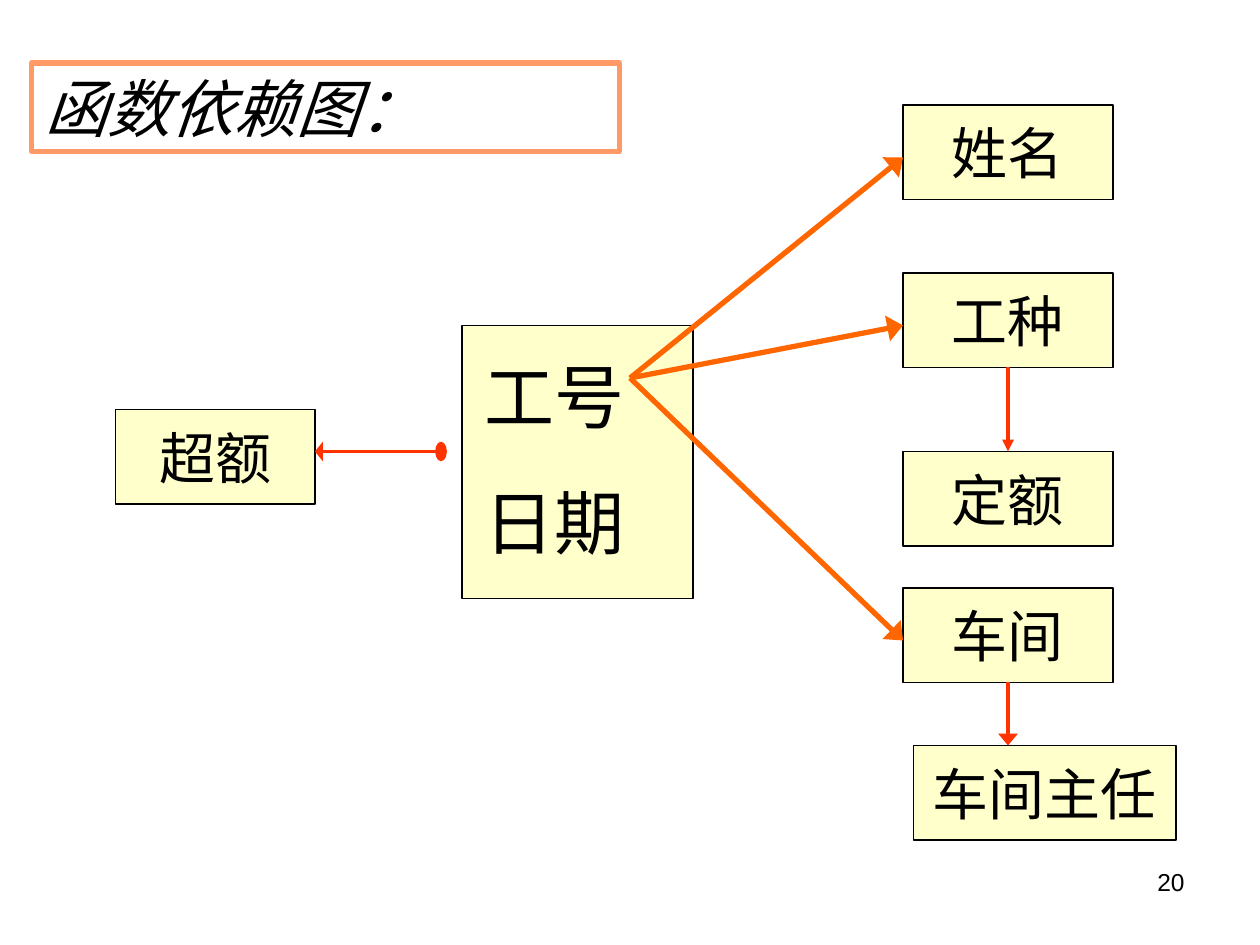
from dataclasses import dataclass

from lxml import etree
from pptx import Presentation
from pptx import util as u
from pptx.dml.color import RGBColor
from pptx.enum import shapes, text
from pptx.oxml.ns import qn

COLORS = {"ink": "000000", "paper": "FFFFFF", "box": "FFFFCC",
          "frame": "FF9966", "key_arrow": "FF6600", "arrow": "FF3300"}
FONT = "Times New Roman"
CELL = u.Inches(1) / 12  # the slide is a grid of 120 columns by 90 rows


@dataclass
class Box:
    label: str
    column: float
    row: float
    columns: float = 20
    rows: float = 9
    size: int = 32
    outlined: bool = True
    align: text.PP_ALIGN = text.PP_ALIGN.CENTER


@dataclass
class Arrow:
    start: tuple[float, float]
    end: tuple[float, float]
    color: str = "arrow"
    weight: float = 2.25
    head_width: str = "lg"
    head_length: str = "med"
    starts_with_dot: bool = False


LEFT = text.PP_ALIGN.LEFT
BOXES = [
    Box("", 44, 31, 22, 26),
    Box("工号", 45, 33, 18, 9.25, 40, False, LEFT),
    Box("日期", 45, 45, 19, 9.25, 40, False, LEFT),
    Box("姓名", 86, 10),
    Box("工种", 86, 26),
    Box("定额", 86, 43),
    Box("车间", 86, 56),
    Box("车间主任", 87, 71, 25),
    Box("超额", 11, 39, 19),
]
KEY_POINT = (60, 36)
ARROWS = [Arrow(KEY_POINT, (86, row), "key_arrow", 3) for row in (31, 15, 61)] + [
    Arrow((96, 65), (96, 71)),
    Arrow((96, 35), (96, 43), head_width="med"),
    Arrow((42, 43), (30, 43), head_length="sm", starts_with_dot=True),
]


def grid(cells: float) -> u.Emu:
    return u.Emu(round(cells * CELL))


def rgb(name: str) -> RGBColor:
    return RGBColor.from_string(COLORS[name])


def place(shape, column: float, row: float, columns: float, rows: float) -> None:
    shape.left, shape.top = grid(column), grid(row)
    shape.width, shape.height = grid(columns), grid(rows)


def paint(shape, fill: str, line: str, weight: float) -> None:
    shape.fill.solid()
    shape.fill.fore_color.rgb = rgb(fill)
    shape.line.color.rgb = rgb(line)
    shape.line.width = u.Pt(weight)


def write(shape, label: str, size: int, align: text.PP_ALIGN, font: str = FONT) -> None:
    frame = shape.text_frame
    frame.text = label
    frame.vertical_anchor = text.MSO_ANCHOR.MIDDLE
    paragraph = frame.paragraphs[0]
    paragraph.alignment = align
    for run in paragraph.runs:
        run.font.name = font
        run.font.size = u.Pt(size)
        run.font.color.rgb = rgb("ink")


def draw_box(slide, box: Box) -> None:
    shape = slide.shapes.add_shape(shapes.MSO_SHAPE.RECTANGLE, 0, 0, 0, 0)
    shape.shadow.inherit = False
    place(shape, box.column, box.row, box.columns, box.rows)
    paint(shape, "box", "ink", 1)
    if not box.outlined:
        shape.line.fill.background()
    if box.label:
        write(shape, box.label, box.size, box.align)
        shape.text_frame.word_wrap = not box.outlined


def draw_arrow(slide, arrow: Arrow) -> None:
    connector = slide.shapes.add_connector(
        shapes.MSO_CONNECTOR.STRAIGHT, *map(grid, arrow.start + arrow.end))
    connector.line.color.rgb = rgb(arrow.color)
    connector.line.width = u.Pt(arrow.weight)
    line = connector.line._get_or_add_ln()
    if arrow.starts_with_dot:
        etree.SubElement(line, qn("a:headEnd"), type="oval", w="lg", len="med")
    etree.SubElement(line, qn("a:tailEnd"), type="triangle",
                     w=arrow.head_width, len=arrow.head_length)
    etree.SubElement(connector._element.spPr, qn("a:effectLst"))


def draw_title(slide) -> None:
    title = slide.shapes.title
    place(title, 3, 6, 56, 8.4)
    paint(title, "paper", "frame", 3)
    write(title, "函数依赖图：", 36, LEFT)
    title.text_frame.auto_size = text.MSO_AUTO_SIZE.NONE
    title.text_frame.paragraphs[0].runs[0].font.italic = True


def draw_page_number(slide) -> None:
    number = slide.shapes.add_textbox(0, 0, 0, 0)
    place(number, 86, 82, 28, 6.25)
    write(number, "20", 14, text.PP_ALIGN.RIGHT, "Arial")
    number.text_frame.word_wrap = True
    number.text_frame.vertical_anchor = text.MSO_ANCHOR.TOP


def main() -> None:
    presentation = Presentation()
    presentation.slide_width, presentation.slide_height = grid(120), grid(90)
    slide = presentation.slides.add_slide(presentation.slide_layouts[5])
    draw_title(slide)
    draw_page_number(slide)
    for box in BOXES:
        draw_box(slide, box)
    for arrow in ARROWS:
        draw_arrow(slide, arrow)
    presentation.save("out.pptx")


if __name__ == "__main__":
    main()
